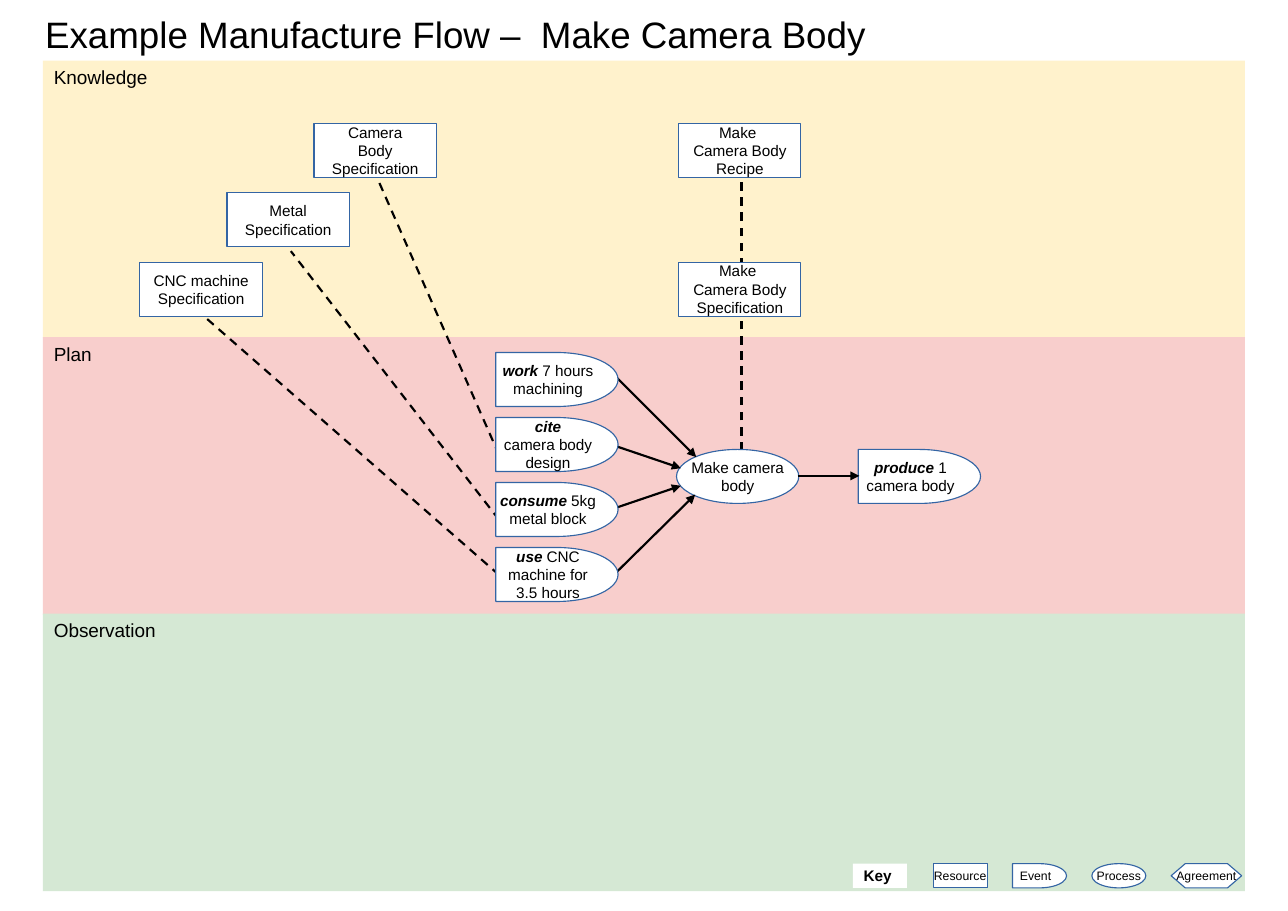
"""Build the manufacture flow slide: three bands, specifications, process and key."""
from lxml.etree import SubElement
from pptx import Presentation
from pptx.dml.color import RGBColor as RGB
from pptx.enum.dml import MSO_LINE as Dash
from pptx.enum.shapes import MSO_CONNECTOR as Link, MSO_SHAPE as Form
from pptx.enum.text import MSO_ANCHOR as Anchor, MSO_AUTO_SIZE as Fit, PP_ALIGN as Align
from pptx.oxml.ns import qn
from pptx.util import Pt

PX = 9144
HUES = {"know": "FFF2CC", "plan": "F8CECC", "seen": "D5E8D4",
        "white": "FFFFFF", "edge": "3465A4", "ink": "000000"}
WIDE, HIGH = 111, 49

deck = Presentation()
deck.slide_width, deck.slide_height = 1169 * PX, 827 * PX
slide = deck.slides.add_slide(deck.slide_layouts[5])


def box(form, x, y, w, h, text, size=10, fill="white", edge="edge",
        side=Align.CENTER, anchor=Anchor.MIDDLE, wrap=False, bold=False):
    item = slide.shapes.add_shape(form, x * PX, y * PX, w * PX, h * PX)
    item.shadow.inherit = False
    item.fill.solid()
    item.fill.fore_color.rgb = RGB.from_string(HUES[fill])
    if edge:
        item.line.color.rgb = RGB.from_string(HUES[edge])
        item.line.width = Pt(0)
    else:
        item.line.fill.background()
    frame = item.text_frame
    frame.word_wrap, frame.vertical_anchor = wrap, anchor
    para = frame.paragraphs[0]
    para.alignment = side
    for part, piece in enumerate(text.split("*")):
        verb = part % 2 == 1
        style = {"name": "Arial", "size": Pt(size), "bold": bold or verb, "italic": verb}
        for row, words in enumerate(piece.split("\n")):
            if row:
                para.add_line_break()
            if words:
                run = para.add_run()
                run.text = words
                for key, value in style.items():
                    setattr(run.font, key, value)
                run.font.color.rgb = RGB.from_string(HUES["ink"])
    for gap in para._p.findall(qn("a:br")):
        SubElement(gap, qn("a:rPr"), sz=str(size * 100))


def join(x1, y1, x2, y2, arrow=False):
    link = slide.shapes.add_connector(Link.STRAIGHT, x1 * PX, y1 * PX, x2 * PX, y2 * PX)
    link.line.color.rgb = RGB.from_string(HUES["ink"])
    link.line.width = Pt(1.42)
    if arrow:
        SubElement(link.line._ln, qn("a:tailEnd"), type="triangle")
    else:
        link.line.dash_style = Dash.DASH
    SubElement(link._element.spPr, qn("a:effectLst"))


title = slide.shapes.title
for key, value in {"left": 31, "top": 6, "width": 1100, "height": 84}.items():
    setattr(title, key, value * PX)
frame = title.text_frame
frame.text = "Example Manufacture Flow –  Make Camera Body"
for key, value in {"auto_size": Fit.NONE, "word_wrap": True,
                   "vertical_anchor": Anchor.TOP}.items():
    setattr(frame, key, value)
frame.paragraphs[0].alignment = Align.LEFT
font = frame.paragraphs[0].runs[0].font
for key, value in {"name": "Arial", "size": Pt(24), "bold": False}.items():
    setattr(font, key, value)
font.color.rgb = RGB.from_string(HUES["ink"])

bands = [("Knowledge", "know"), ("Plan", "plan"), ("Observation", "seen")]
for i, (name, hue) in enumerate(bands):
    box(Form.RECTANGLE, 39, 55 + 251 * i, 1091, 252, name, 12.4, hue, None,
        Align.LEFT, Anchor.TOP, True)

for ends in [(453, 472, 264, 228), (453, 413, 343, 163), (453, 522, 185, 287),
             (673, 423, 673, 281), (673, 242, 673, 156)]:
    join(*ends)

specs = ["CNC machine\nSpecification", "Metal\nSpecification", "Camera\nBody\nSpecification"]
for i, text in enumerate(specs):
    box(Form.RECTANGLE, 127 + 79 * i, 238 - 63 * i, WIDE, HIGH, text)
for i, last in enumerate(["Specification", "Recipe"]):
    box(Form.RECTANGLE, 616, 238 - 126 * i, WIDE, HIGH, "Make \nCamera Body\n" + last)

box(Form.OVAL, 614, 408, WIDE, HIGH, "Make camera\nbody")
box(Form.FLOWCHART_DELAY, 779, 408, WIDE, HIGH, "*produce* 1\ncamera body")

for ends in [(724, 432, 780, 432), (559, 405, 618, 425), (559, 461, 618, 441),
             (559, 342, 632, 415), (557, 522, 631, 449)]:
    join(*ends, arrow=True)

inputs = ["*work* 7 hours\nmachining", "*cite\n*camera body\ndesign",
          "*consume *5kg\nmetal block", "*use* CNC\nmachine for\n3.5 hours"]
for i, text in enumerate(inputs):
    box(Form.FLOWCHART_DELAY, 450, 320 + 59 * i, WIDE, HIGH, text)

box(Form.RECTANGLE, 774, 784, 49, 22, "Key", edge=None, side=Align.LEFT, bold=True)
signs = [("Resource", Form.RECTANGLE, 49), ("Event", Form.FLOWCHART_DELAY, 49),
         ("Process", Form.OVAL, 49), ("Agreement", Form.FLOWCHART_PREPARATION, 64)]
for i, (name, form, wide) in enumerate(signs):
    box(form, 847 + 72 * i, 784, wide, 22, name, 8)

deck.save("out.pptx")
